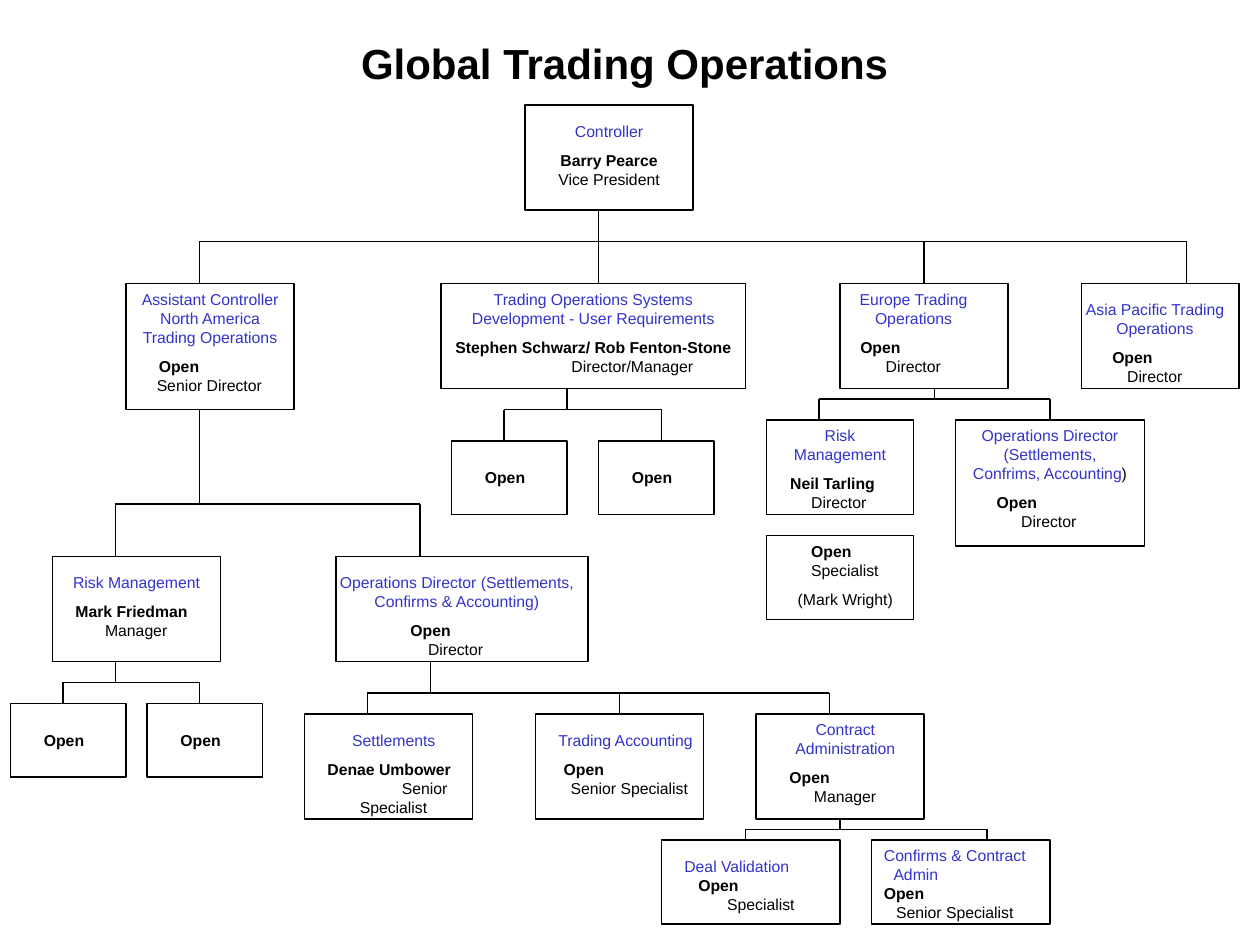
from dataclasses import dataclass
from typing import Optional

from pptx import Presentation
from pptx.dml.color import RGBColor
from pptx.enum.shapes import MSO_CONNECTOR, MSO_SHAPE
from pptx.enum.text import MSO_ANCHOR, MSO_AUTO_SIZE, PP_ALIGN
from pptx.oxml.ns import qn
from pptx.util import Pt
from lxml.etree import SubElement

COLORS = {"ink": "000000", "role": "3333CC"}
FONT = "Arial"
LINE_WIDTH = 0.75
GAP = 5.6


@dataclass
class Line:
    text: str
    indent: Optional[float] = None
    first: float = 0
    color: str = "ink"
    bold: bool = False
    gap: float = 0
    tail: str = ""


@dataclass
class Post:
    key: str
    frame: tuple[float, float, float, float]
    label: tuple[float, float, float, float]
    lines: list[Line]


@dataclass
class Branch:
    parent: str
    stem_x: float
    bus_y: float
    children: dict[str, float]


def role(text: str, indent: Optional[float] = None, first: float = 0, tail: str = "") -> Line:
    return Line(text, indent, first, color="role", tail=tail)


def name(text: str, indent: Optional[float] = None, gap: float = GAP) -> Line:
    return Line(text, indent, bold=True, gap=gap)


def vacancy(key: str, left: float, top: float, label_left: float) -> Post:
    return Post(key, (left, top, 66, 42), (label_left, top + 12, 48, 18), [name("Open", 0)])


POSTS = [
    Post("controller", (300, 60, 96, 60), (306, 66, 84, 45),
         [role("Controller"), name("Barry Pearce"), Line("Vice President")]),
    Post("america", (72, 162, 96, 72), (72, 162, 96, 67),
         [role("Assistant Controller North America Trading Operations"),
          name("Open", 11.7), Line("Senior Director", 10.5)]),
    Post("systems", (252, 162, 174, 60), (252, 162, 174, 56),
         [role("Trading Operations Systems Development - User Requirements"),
          name("Stephen Schwarz/ Rob Fenton-Stone"), Line("Director/Manager", 67.5)]),
    Post("europe", (480, 162, 96, 60), (474, 162, 96, 56),
         [role("Europe Trading Operations"), name("Open", 10.5), Line("Director", 25)]),
    Post("asia", (618, 162, 90, 60), (612, 168, 96, 56),
         [role("Asia Pacific Trading Operations"), name("Open", 16.5), Line("Director", 25)]),
    Post("europe risk", (438, 240, 84, 54), (444, 240, 72, 56),
         [role("Risk Management"), name("Neil Tarling", 0.5), Line("Director", 12.5)]),
    Post("europe director", (546, 240, 108, 72), (546, 240, 108, 67),
         [role("Operations Director (Settlements, Confrims, Accounting", tail=")"),
          name("Open", 16.5), Line("Director", 30.5)]),
    Post("europe specialist", (438, 306, 84, 48), (444, 306, 78, 45),
         [name("Open", 12.5), Line("Specialist", 12.5), Line("(Mark Wright)", gap=GAP)]),
    vacancy("systems first", 258, 252, 270),
    vacancy("systems second", 342, 252, 354),
    Post("america risk", (30, 318, 96, 60), (30, 324, 96, 45),
         [role("Risk Management"), name("Mark Friedman", 6), Line("Manager", 23)]),
    Post("america director", (192, 318, 144, 60), (186, 324, 150, 56),
         [role("Operations Director (Settlements, Confirms & Accounting)"),
          name("Open", 41.5), Line("Director", 51.5)]),
    vacancy("risk first", 6, 402, 18),
    vacancy("risk second", 84, 402, 96),
    Post("settlements", (174, 408, 96, 60), (180, 414, 90, 56),
         [role("Settlements"), name("Denae Umbower", 0), Line("Senior Specialist", 18.5, 24)]),
    Post("accounting", (306, 408, 96, 60), (312, 414, 96, 45),
         [role("Trading Accounting", 0), name("Open", 3), Line("Senior Specialist", 7)]),
    Post("contracts", (432, 408, 96, 60), (438, 408, 90, 56),
         [role("Contract Administration"), name("Open", 6), Line("Manager", 20)]),
    Post("validation", (378, 480, 102, 48), (384, 486, 102, 40),
         [role("Deal Validation", 0), name("Open", 8, gap=0), Line("Specialist", 24.5)]),
    Post("confirms", (498, 480, 102, 48), (498, 480, 96, 50),
         [role("Confirms & Contract Admin", 5.5, -5.5), name("Open", 0, gap=0),
          Line("Senior Specialist", 7)]),
]

BRANCHES = [
    Branch("controller", 342, 138, {"america": 114, "systems": 342, "europe": 528, "asia": 678}),
    Branch("systems", 324, 234, {"systems first": 288, "systems second": 378}),
    Branch("america", 114, 288, {"america risk": 66, "america director": 240}),
    Branch("america risk", 66, 390, {"risk first": 36, "risk second": 114}),
    Branch("america director", 246, 396, {"settlements": 210, "accounting": 354, "contracts": 474}),
    Branch("contracts", 480, 474, {"validation": 426, "confirms": 564}),
    Branch("europe", 534, 228, {"europe risk": 468, "europe director": 600}),
]


def color(key: str) -> RGBColor:
    return RGBColor.from_string(COLORS[key])


def style(span, size: float, key: str, bold: bool) -> None:
    span.font.name = FONT
    span.font.size = Pt(size)
    span.font.bold = bold
    span.font.color.rgb = color(key)


def draw_title(page, text: str) -> None:
    title = page.shapes.title
    title.left, title.top, title.width, title.height = map(Pt, (96, 18, 522, 36))
    title.text_frame.text = text
    title.text_frame.word_wrap = True
    title.text_frame.vertical_anchor = MSO_ANCHOR.TOP
    paragraph = title.text_frame.paragraphs[0]
    paragraph.alignment = PP_ALIGN.CENTER
    style(paragraph.runs[0], 24, "ink", True)


def draw_frame(page, post: Post):
    box = page.shapes.add_shape(MSO_SHAPE.RECTANGLE, *map(Pt, post.frame))
    box.shadow.inherit = False
    box.fill.background()
    box.line.color.rgb = color("ink")
    box.line.width = Pt(LINE_WIDTH)
    return box


def draw_line(page, x1: float, y1: float, x2: float, y2: float):
    line = page.shapes.add_connector(MSO_CONNECTOR.STRAIGHT, *map(Pt, (x1, y1, x2, y2)))
    line.line.color.rgb = color("ink")
    line.line.width = Pt(LINE_WIDTH)
    SubElement(line._element.spPr, qn("a:effectLst"))
    return line


def is_middle(box, x: float) -> bool:
    return box.left + box.width // 2 == Pt(x)


def draw_branch(page, branch: Branch, boxes: dict) -> None:
    parent = boxes[branch.parent]
    bottom = (parent.top + parent.height) / Pt(1)
    stem = draw_line(page, branch.stem_x, bottom, branch.stem_x, branch.bus_y)
    if is_middle(parent, branch.stem_x):
        stem.begin_connect(parent, 2)
    ends = branch.children.values()
    draw_line(page, min(ends), branch.bus_y, max(ends), branch.bus_y)
    for key, x in branch.children.items():
        child = boxes[key]
        drop = draw_line(page, x, branch.bus_y, x, child.top / Pt(1))
        if is_middle(child, x):
            drop.end_connect(child, 0)


def draw_label(page, post: Post) -> None:
    frame = page.shapes.add_textbox(*map(Pt, post.label)).text_frame
    frame.word_wrap = True
    frame.auto_size = MSO_AUTO_SIZE.SHAPE_TO_FIT_TEXT
    for index, line in enumerate(post.lines):
        paragraph = frame.add_paragraph() if index else frame.paragraphs[0]
        paragraph.text = line.text
        style(paragraph.runs[0], 9, line.color, line.bold)
        if line.tail:
            span = paragraph.add_run()
            span.text = line.tail
            style(span, 9, "ink", False)
        paragraph.space_before = Pt(line.gap if index else 0)
        paragraph.alignment = PP_ALIGN.CENTER if line.indent is None else PP_ALIGN.LEFT
        if line.indent is not None:
            properties = paragraph._p.get_or_add_pPr()
            properties.set("marL", str(Pt(line.indent)))
            properties.set("indent", str(Pt(line.first)))


def main() -> None:
    deck = Presentation()
    deck.slide_width, deck.slide_height = Pt(720), Pt(540)
    page = deck.slides.add_slide(deck.slide_layouts[5])
    draw_title(page, "Global Trading Operations")
    boxes = {post.key: draw_frame(page, post) for post in POSTS}
    for branch in BRANCHES:
        draw_branch(page, branch, boxes)
    for post in POSTS:
        draw_label(page, post)
    deck.save("out.pptx")


if __name__ == "__main__":
    main()
